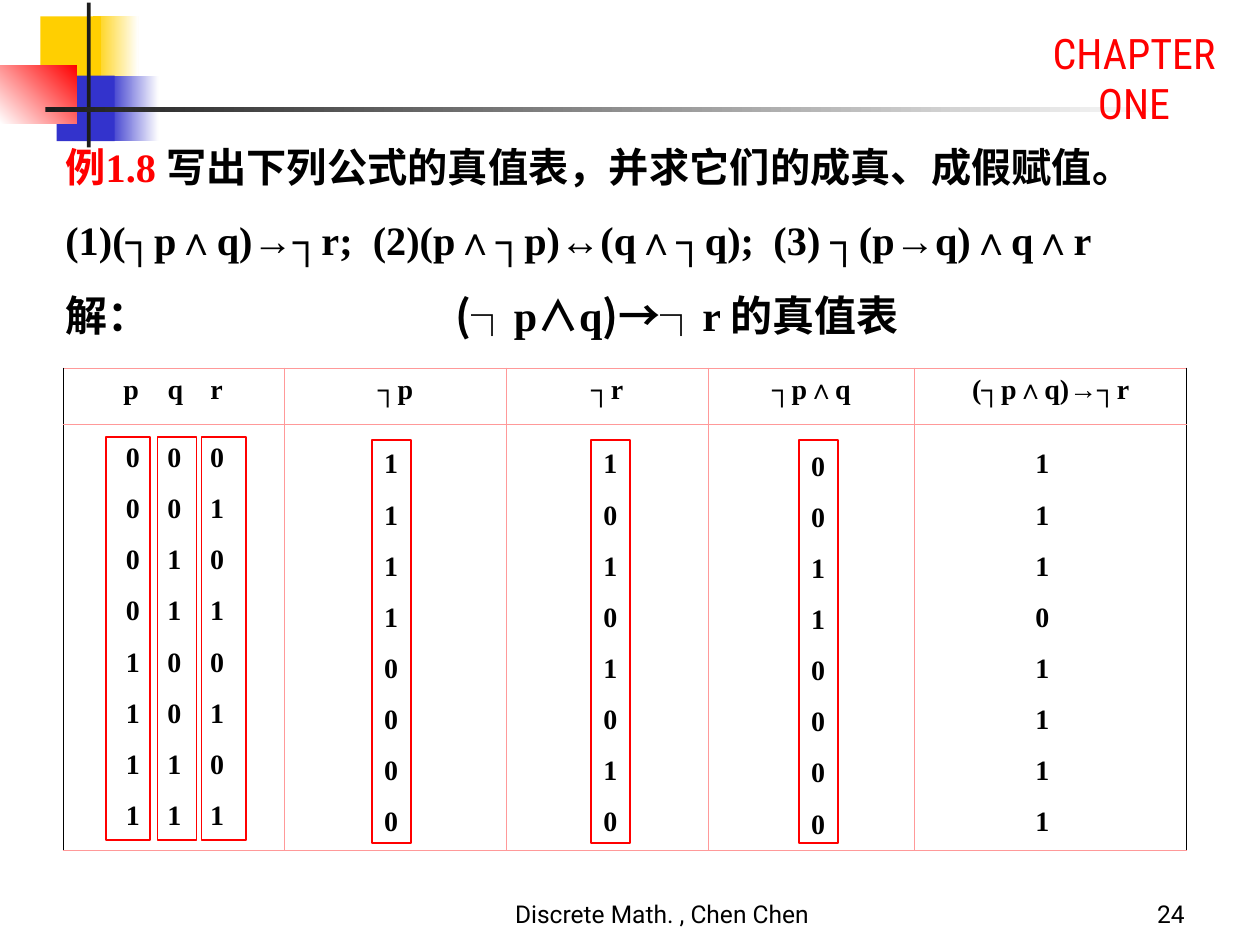
from itertools import product

from lxml.etree import SubElement
from pptx import Presentation
from pptx.dml.color import RGBColor
from pptx.enum.shapes import MSO_SHAPE as Shape
from pptx.enum.text import MSO_ANCHOR as Anchor, PP_ALIGN as Align
from pptx.oxml import parse_xml
from pptx.oxml.ns import nsdecls, qn
from pptx.util import Inches, Pt

hex_color = RGBColor.from_string
CJK = "Noto Sans CJK SC"
SERIF = "Times New Roman"
RED, BLACK, WHITE, PINK = "FF0000", "000000", "FFFFFF", "FF9999"


def write(frame, lines, size, align=Align.LEFT, gap=0, tabs=(), bold=True):
    frame.word_wrap = True
    for index, runs in enumerate(lines):
        paragraph = frame.paragraphs[0] if index == 0 else frame.add_paragraph()
        if tabs:
            stops = SubElement(paragraph._p.get_or_add_pPr(), qn("a:tabLst"))
            for stop in tabs:
                SubElement(stops, qn("a:tab"), pos=str(Inches(stop)), algn="l")
        paragraph.alignment = align
        if index:
            paragraph.space_before = Pt(gap)
        for text, font, color in runs:
            run = paragraph.add_run()
            run.text = text
            for name, value in {"size": Pt(size), "bold": bold, "name": font}.items():
                setattr(run.font, name, value)
            run.font.color.rgb = hex_color(color)
            east_asian = CJK if font == SERIF else font
            SubElement(run._r.get_or_add_rPr(), qn("a:ea"), typeface=east_asian)


def add_box(left, top, width, height):
    box = slide.shapes.add_shape(
        Shape.RECTANGLE, Inches(left), Inches(top), Inches(width), Inches(height)
    )
    box.shadow.inherit = False
    return box


deck = Presentation()
deck.slide_width, deck.slide_height = Inches(10), Inches(7.5)
slide = deck.slides.add_slide(deck.slide_layouts[6])

ornaments = [
    ((0.74, 0.13, 0.36, 0.52), ("FFCF01", WHITE), 0),
    ((0.86, 0.6, 0.4, 0.52), ("3333CC", WHITE), 0),
    ((0.32, 0.13, 0.48, 0.52), ("FFCF01",), 0),
    ((0.45, 0.6, 0.46, 0.52), ("3333CC",), 0),
    ((0, 0.52, 0.61, 0.46), (RED, WHITE), 225),
    ((0.69, 0.02, 0.03, 1.15), ("1C1C1C",), 0),
    ((0.36, 0.85, 9, 0.04), ("1C1C1C", WHITE), 0),
]
for place, colors, angle in ornaments:
    ornament = add_box(*place)
    ornament.line.fill.background()
    if len(colors) == 1:
        ornament.fill.solid()
        ornament.fill.fore_color.rgb = hex_color(colors[0])
    else:
        ornament.fill.gradient()
        ornament.fill.gradient_angle = angle
        for stop, color in zip(ornament.fill.gradient_stops, colors):
            stop.color.rgb = hex_color(color)

widths = [1.76, 1.76, 1.6, 1.64, 2.16]
headings = ["p\tq\tr", "┐p", "┐r", "┐p∧q", "(┐p∧q)→┐r"]
truth_table = slide.shapes.add_table(
    2, 5, Inches(0.5), Inches(2.92), Inches(8.92), Inches(3.83)
).table
truth_table.first_row = truth_table.horz_banding = False
for row, height in zip(truth_table.rows, (0.45, 3.38)):
    row.height = Inches(height)
for column, (width, heading) in enumerate(zip(widths, headings)):
    truth_table.columns[column].width = Inches(width)
    heading_cell = truth_table.cell(0, column)
    if column == 0:
        heading_cell.margin_left = Inches(0.48)
        align, tabs = Align.LEFT, (0.35, 0.69)
    else:
        align, tabs = Align.CENTER, ()
    write(heading_cell.text_frame, [[(heading, SERIF, BLACK)]], 16, align, tabs=tabs)
    edges = {
        "lnL": BLACK if column == 0 else PINK,
        "lnR": BLACK if column == 4 else PINK,
        "lnT": PINK,
        "lnB": PINK,
    }
    for row in range(2):
        cell = truth_table.cell(row, column)
        cell.fill.background()
        for position, (edge, color) in enumerate(edges.items()):
            border = parse_xml(
                f'<a:{edge} {nsdecls("a")} w="{Pt(0.45)}"><a:solidFill>'
                f'<a:srgbClr val="{color}"/></a:solidFill></a:{edge}>'
            )
            cell._tc.get_or_add_tcPr().insert(position, border)

assignments = list(product((0, 1), repeat=3))
columns = [
    (2.95, 3.49, 0.31, [1 - p for p, q, r in assignments]),
    (0.9, 3.44, 1.07, ["\t".join(map(str, values)) for values in assignments]),
    (4.69, 3.49, 0.35, [1 - r for p, q, r in assignments]),
    (6.34, 3.51, 0.3, [(1 - p) * q for p, q, r in assignments]),
    (8.12, 3.49, 0.26, [1 - (1 - p) * q * r for p, q, r in assignments]),
]
question = [
    [
        ("例1.8 ", SERIF, RED),
        ("写出下列公式的真值表，并求它们的成真、成假赋值。", SERIF, BLACK),
    ],
    [("(1)(┐p∧q)→┐r;\t(2)(p∧┐p)↔(q∧┐q);\t(3) ┐(p→q)∧q∧r", SERIF, BLACK)],
]
answer_parts = ["解：\t(┐", "p", "∧", "q", ")→┐", "r ", "的真值表"]
answer = [
    [(part, SERIF if index % 2 else CJK, BLACK) for index, part in enumerate(answer_parts)]
]
chapter = [[("CHAPTER ONE", "Roboto Condensed", RED)]]
footer = [[("Discrete Math. , Chen Chen", "Roboto", BLACK)]]
page = [[("24", "Roboto", BLACK)]]

plain = {"size": 14, "bold": False}
texts = [
    ((8, 0.17, 2, 0.9), chapter, {"size": 24, "align": Align.CENTER, "bold": False}, Anchor.TOP),
    ((0.42, 1.08, 9.08, 1.07), question, {"size": 23, "gap": 14.4, "tabs": (2.44, 5.62)}, Anchor.TOP),
    ((0.42, 2.25, 8.58, 0.5), answer, {"size": 24, "tabs": (3.1,)}, Anchor.TOP),
    ((3.67, 6.92, 3.17, 0.5), footer, {**plain, "align": Align.CENTER}, Anchor.BOTTOM),
    ((7.42, 6.92, 2.08, 0.5), page, {**plain, "align": Align.RIGHT}, Anchor.BOTTOM),
]
for left, top, width, values in columns:
    lines = [[(str(value), SERIF, BLACK)] for value in values]
    style = {"size": 16, "gap": 10, "tabs": (0.33, 0.67) if width > 1 else ()}
    texts.append(((left, top, width, 3.21), lines, style, Anchor.TOP))
for place, lines, style, anchor in texts:
    frame = slide.shapes.add_textbox(*map(Inches, place)).text_frame
    frame.vertical_anchor = anchor
    write(frame, lines, **style)

highlights = [
    (2.95, 3.49, 0.31),
    (1.25, 3.47, 0.31),
    (4.69, 3.49, 0.31),
    (6.34, 3.49, 0.31),
    (0.84, 3.47, 0.35),
    (1.6, 3.47, 0.35),
]
for left, top, width in highlights:
    highlight = add_box(left, top, width, 3.2)
    highlight.fill.background()
    highlight.line.color.rgb = hex_color(RED)
    highlight.line.width = Pt(1)

deck.save("out.pptx")
